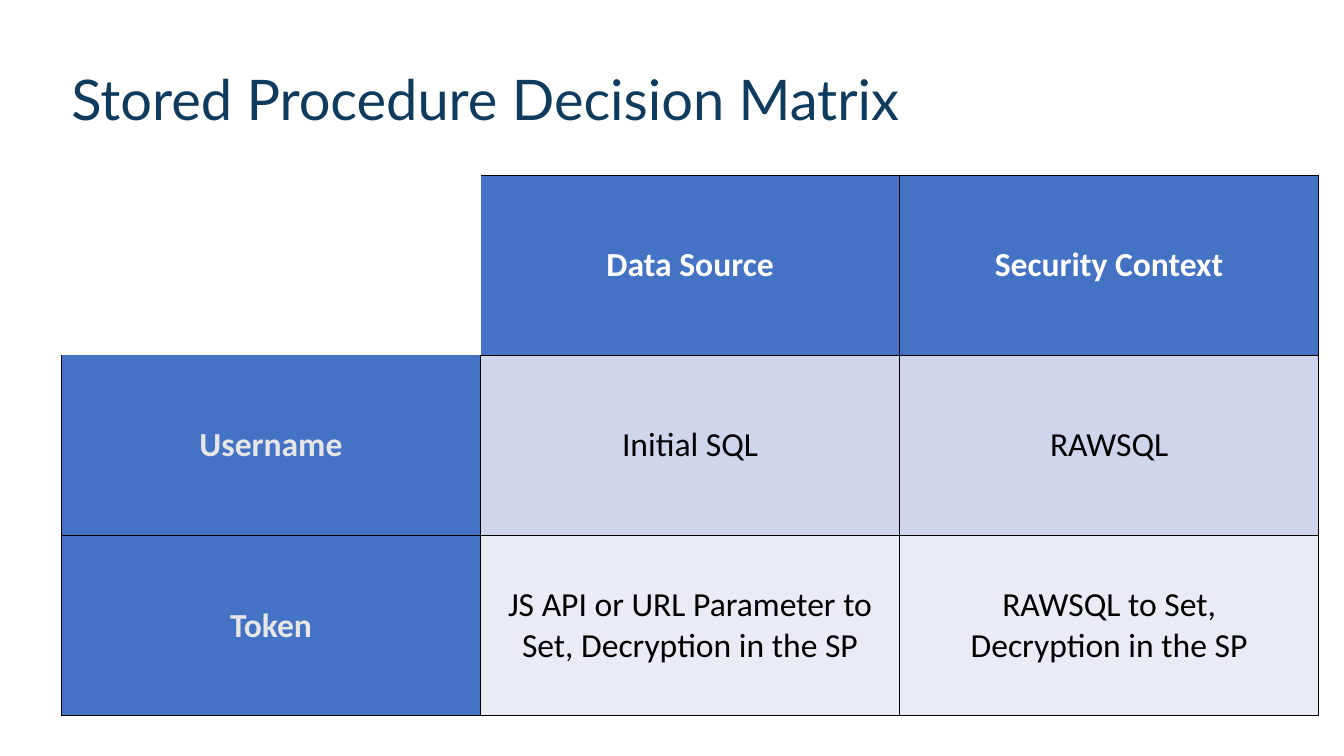
from lxml import etree
from pptx import Presentation
from pptx.dml.color import RGBColor
from pptx.enum.text import MSO_ANCHOR, PP_ALIGN
from pptx.oxml.ns import qn
from pptx.util import Inches, Pt

MIDDLE = MSO_ANCHOR.MIDDLE
CENTER = PP_ALIGN.CENTER

NAVY = RGBColor(0x0E, 0x3B, 0x5E)
BLUE = RGBColor(0x44, 0x72, 0xC4)
PALE_BLUE = RGBColor(0xCF, 0xD5, 0xEA)
PALER_BLUE = RGBColor(0xE9, 0xEB, 0xF5)
LIGHT_GRAY = RGBColor(0xE7, 0xE6, 0xE6)
WHITE = RGBColor(0xFF, 0xFF, 0xFF)
BLACK = RGBColor(0x00, 0x00, 0x00)

MATRIX = [
    ["", "Data Source", "Security Context"],
    ["Username", "Initial SQL", "RAWSQL"],
    ["Token", "JS API or URL Parameter to Set, Decryption in the SP",
     "RAWSQL to Set,\nDecryption in the SP"],
]
BODY_FILLS = {1: PALE_BLUE, 2: PALER_BLUE}


def set_borders(cell, hidden_sides):
    """Draw thin black borders, except on the hidden sides."""
    properties = cell._tc.get_or_add_tcPr()
    for position, side in enumerate("LRTB"):
        line = etree.Element(qn(f"a:ln{side}"), w=str(Pt(1)))
        if side in hidden_sides:
            etree.SubElement(line, qn("a:noFill"))
        else:
            fill = etree.SubElement(line, qn("a:solidFill"))
            etree.SubElement(fill, qn("a:srgbClr"), val=str(BLACK))
        properties.insert(position, line)


def add_title(slide, left, top, width, height):
    box = slide.shapes.add_textbox(left, top, width, height)
    frame = box.text_frame
    frame.word_wrap = True
    frame.vertical_anchor = MIDDLE
    frame.text = "Stored Procedure Decision Matrix"
    paragraph = frame.paragraphs[0]
    paragraph.line_spacing = 0.9
    paragraph.font.name = "Lato"
    paragraph.font.size = Pt(40)
    paragraph.font.color.rgb = NAVY


def style_cell(cell, row, column):
    is_corner = row == 0 and column == 0
    is_header = row == 0 or column == 0

    # Fill and text colour
    if is_corner:
        cell.fill.background()
    else:
        cell.fill.solid()
        cell.fill.fore_color.rgb = BLUE if is_header else BODY_FILLS[row]
    if row == 0:
        text_color = WHITE
    else:
        text_color = LIGHT_GRAY if column == 0 else BLACK

    # The empty corner and the sides next to it stay open
    hidden_sides = {(0, 0): "LRTB", (0, 1): "L", (1, 0): "T"}
    set_borders(cell, hidden_sides.get((row, column), ""))

    cell.vertical_anchor = MIDDLE
    for paragraph in cell.text_frame.paragraphs:
        paragraph.alignment = CENTER
        paragraph.font.name = "Calibri"
        paragraph.font.size = Pt(24)
        paragraph.font.bold = is_header
        paragraph.font.color.rgb = text_color


def add_matrix(slide, left, top, width, height):
    row_count, column_count = len(MATRIX), len(MATRIX[0])
    table = slide.shapes.add_table(
        row_count, column_count, left, top, width, height).table
    table.first_row = False
    table.horz_banding = False
    for row, texts in enumerate(MATRIX):
        for column, text in enumerate(texts):
            cell = table.cell(row, column)
            cell.text = text
            style_cell(cell, row, column)


def main():
    presentation = Presentation()
    presentation.slide_width = Inches(13.33)
    presentation.slide_height = Inches(7.5)
    slide = presentation.slides.add_slide(presentation.slide_layouts[6])
    left = Inches(0.61)
    add_title(slide, left, Inches(0.29), Inches(11.5), Inches(1.45))
    add_matrix(slide, left, Inches(1.74), Inches(12.47), Inches(5.36))
    presentation.save("out.pptx")


if __name__ == "__main__":
    main()
